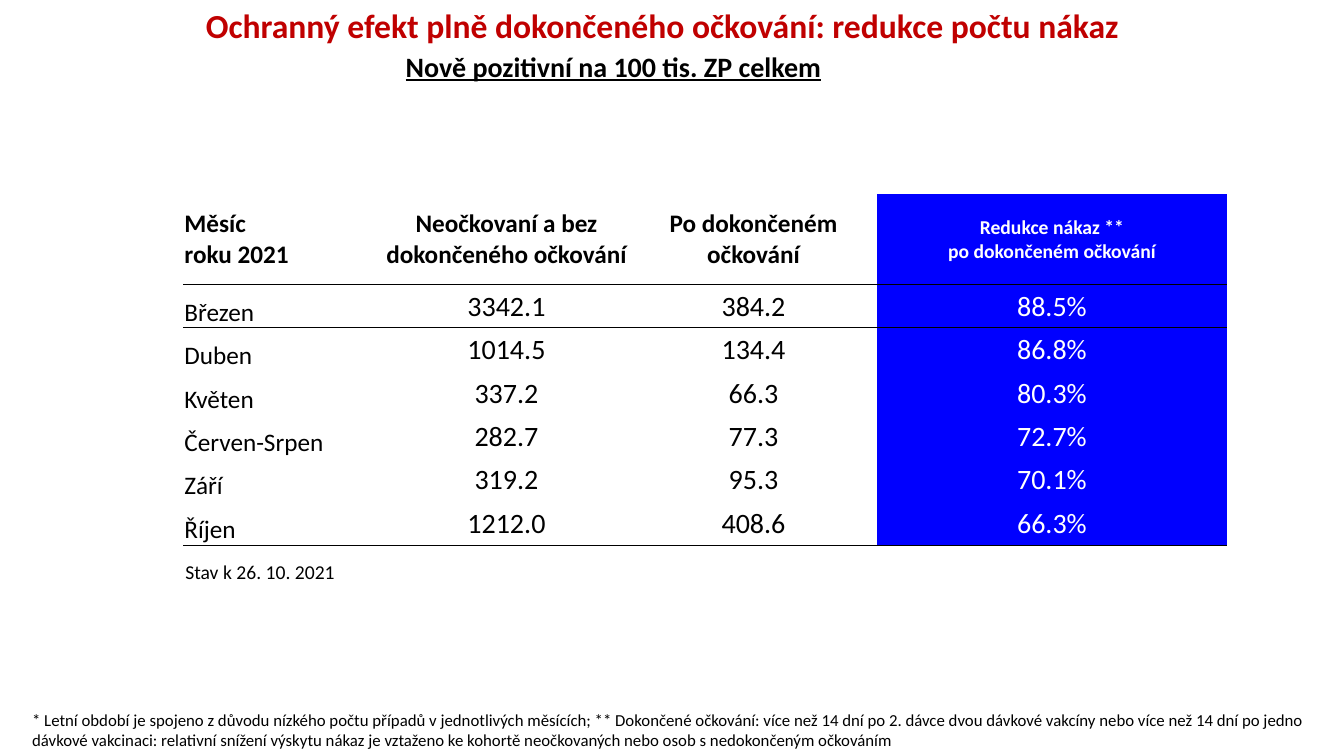
from dataclasses import dataclass

from lxml.etree import SubElement
from pptx import Presentation
from pptx.dml.color import RGBColor
from pptx.enum.text import MSO_ANCHOR as Anchor, PP_ALIGN as Align
from pptx.oxml import parse_xml
from pptx.oxml.ns import nsdecls, qn
from pptx.slide import Slide
from pptx.table import Table, _Cell as Cell
from pptx.text.text import TextFrame
from pptx.util import Inches, Pt

FONT = "Calibri"
BLACK = RGBColor(0x00, 0x00, 0x00)
WHITE = RGBColor(0xFF, 0xFF, 0xFF)
RED = RGBColor(0xC0, 0x00, 0x00)
BLUE = RGBColor(0x00, 0x00, 0xFF)
NO_STYLE = "{2D5ABB26-0587-4C30-8999-92F81FD0307C}"

WIDTH = Inches(13.33)
HEIGHT = Inches(7.5)


@dataclass(frozen=True)
class Box:
    left: float
    top: float
    width: float
    height: float

    def place(self) -> tuple[int, int, int, int]:
        return (across(self.left), down(self.top),
                across(self.width), down(self.height))


@dataclass(frozen=True)
class Style:
    size: int
    color: RGBColor = BLACK
    bold: bool = False
    underline: bool = False
    align: Align = Align.LEFT


@dataclass(frozen=True)
class Label:
    text: str
    box: Box
    style: Style


TITLE = Label("Ochranný efekt plně dokončeného očkování: redukce počtu nákaz",
              Box(1.65, 0.53, 95.27, 19.33),
              Style(24, RED, bold=True, align=Align.CENTER))
LABELS = [
    Label("Nově pozitivní na 100 tis. ZP celkem", Box(29.03, 5.87, 33.23, 5.87),
          Style(20, bold=True, underline=True, align=Align.CENTER)),
    Label("* Letní období je spojeno z důvodu nízkého počtu případů v jednotlivých "
          "měsících; ** Dokončené očkování: více než 14 dní po 2. dávce dvou dávkové "
          "vakcíny nebo více než 14 dní po jedno dávkové vakcinaci: relativní snížení "
          "výskytu nákaz je vztaženo ke kohortě neočkovaných nebo osob s nedokončeným "
          "očkováním", Box(1.65, 93.2, 97.45, 6.67), Style(12)),
    Label("Stav k 26. 10. 2021", Box(13.05, 73.47, 16.58, 4.53), Style(14)),
]

HEADER = ("Měsíc\nroku 2021", "Neočkovaní a bez dokončeného očkování",
          "Po dokončeném\nočkování", "Redukce nákaz **\npo dokončeném očkování")
MONTHS = [
    ("Březen", "3342.1", "384.2", "88.5%"),
    ("Duben", "1014.5", "134.4", "86.8%"),
    ("Květen", "337.2", "66.3", "80.3%"),
    ("Červen-Srpen", "282.7", "77.3", "72.7%"),
    ("Září", "319.2", "95.3", "70.1%"),
    ("Říjen", "1212.0", "408.6", "66.3%"),
]
ROWS = [("",) * len(HEADER), HEADER, *MONTHS]
COLUMN_WIDTHS = (14.85, 18.38, 18.38, 26.03)
ROW_HEIGHT = 5.75
HEADER_HEIGHT = 12
HEADER_ROW = 1
REDUCTION = len(HEADER) - 1


def across(percent: float) -> int:
    return round(WIDTH * percent / 100)


def down(percent: float) -> int:
    return round(HEIGHT * percent / 100)


def write(tf: TextFrame, text: str, style: Style) -> None:
    tf.text = text
    for p in tf.paragraphs:
        p.alignment = style.align
        for font in [p.font, *(r.font for r in p.runs)]:
            font.name = FONT
            font.size = Pt(style.size)
            font.bold = style.bold
            font.underline = style.underline
            font.color.rgb = style.color


def add_title(s: Slide, label: Label) -> None:
    sp = s.shapes.title
    sp.left, sp.top, sp.width, sp.height = label.box.place()
    tf = sp.text_frame
    write(tf, label.text, label.style)
    tf.word_wrap = True
    tf.vertical_anchor = Anchor.TOP
    tf.paragraphs[0].line_spacing = 0.9
    tf.paragraphs[0].space_before = Pt(0)


def add_label(s: Slide, label: Label) -> None:
    tf = s.shapes.add_textbox(*label.box.place()).text_frame
    tf.word_wrap = True
    write(tf, label.text, label.style)


def cell_style(row: int, column: int) -> Style:
    color = WHITE if column == REDUCTION else BLACK
    align = Align.CENTER if column else Align.LEFT
    if row <= HEADER_ROW:
        return Style(14 if column == REDUCTION else 18, color, bold=True, align=align)
    return Style(20 if column else 18, color, align=align)


def rule(cell: Cell, side: str) -> None:
    line = parse_xml(f'<a:{side} {nsdecls("a")} w="{Pt(1)}"><a:solidFill>'
                     f'<a:srgbClr val="{BLACK}"/></a:solidFill></a:{side}>')
    cell._tc.get_or_add_tcPr().insert(0, line)


def fill_cell(cell: Cell, row: int, column: int) -> None:
    write(cell.text_frame, ROWS[row][column], cell_style(row, column))
    cell.margin_left = cell.margin_right = cell.margin_top = Inches(0.01)
    cell.margin_bottom = 0
    is_month = row > HEADER_ROW and column == 0
    cell.vertical_anchor = Anchor.BOTTOM if is_month else Anchor.MIDDLE
    if row >= HEADER_ROW and column == REDUCTION:
        cell.fill.solid()
        cell.fill.fore_color.rgb = BLUE
    else:
        cell.fill.background()
    if row in (HEADER_ROW, len(ROWS) - 1):
        rule(cell, "lnB")
    if row == HEADER_ROW + 1:
        rule(cell, "lnT")


def clear_style(table: Table) -> None:
    table.first_row = table.horz_banding = False
    props = table._tbl.tblPr
    for style_id in props.findall(qn("a:tableStyleId")):
        props.remove(style_id)
    SubElement(props, qn("a:tableStyleId")).text = NO_STYLE


def add_reduction_table(s: Slide) -> None:
    heights = [HEADER_HEIGHT if i == HEADER_ROW else ROW_HEIGHT for i in range(len(ROWS))]
    box = Box(13.65, 19.87, sum(COLUMN_WIDTHS), sum(heights))
    table = s.shapes.add_table(len(ROWS), len(HEADER), *box.place()).table
    clear_style(table)
    for column, width in zip(table.columns, COLUMN_WIDTHS):
        column.width = across(width)
    for i, height in enumerate(heights):
        table.rows[i].height = down(height)
        for j in range(len(HEADER)):
            fill_cell(table.cell(i, j), i, j)
    table.cell(0, REDUCTION - 1).merge(table.cell(0, REDUCTION))


def main() -> None:
    prs = Presentation()
    prs.slide_width, prs.slide_height = WIDTH, HEIGHT
    s = prs.slides.add_slide(prs.slide_layouts.get_by_name("Title Only"))
    add_title(s, TITLE)
    add_reduction_table(s)
    for label in LABELS:
        add_label(s, label)
    prs.save("out.pptx")


if __name__ == "__main__":
    main()
